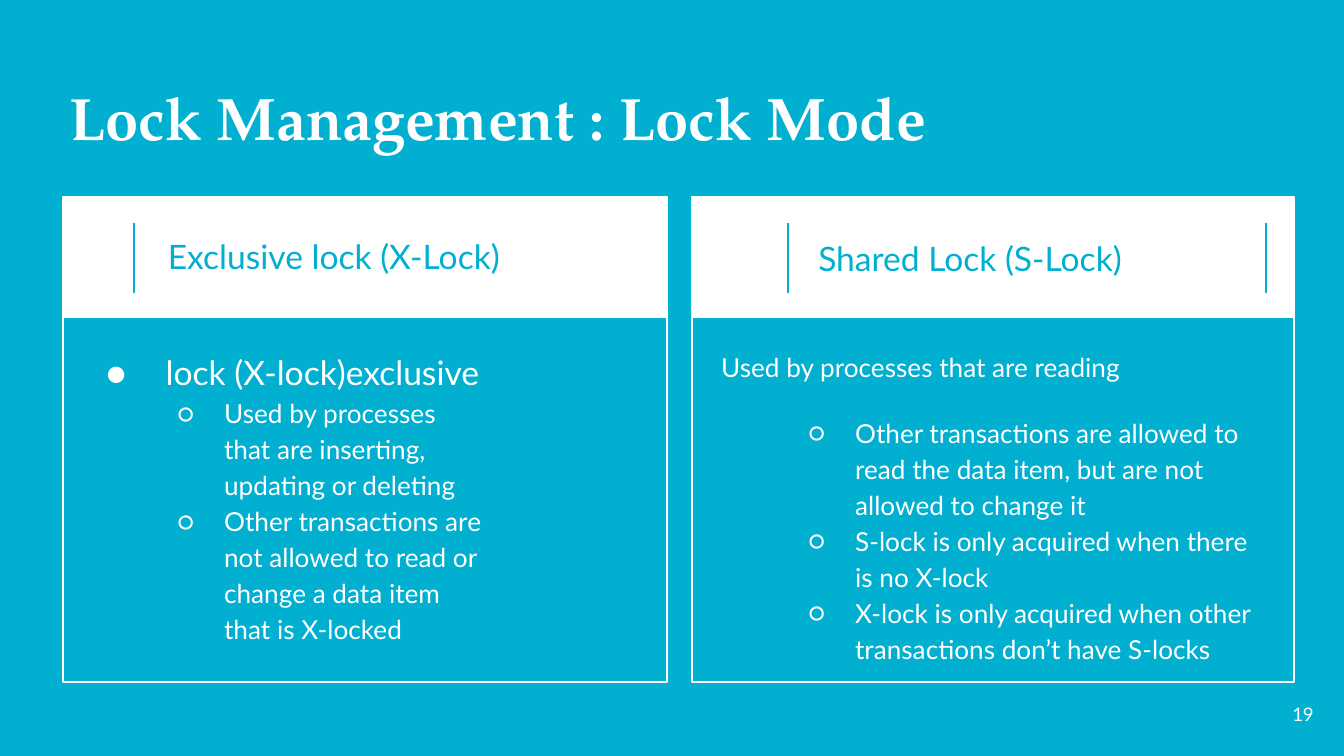
from lxml.etree import SubElement
from pptx import Presentation
from pptx.dml.color import RGBColor
from pptx.enum.shapes import MSO_CONNECTOR, MSO_SHAPE
from pptx.enum.text import MSO_ANCHOR, PP_ALIGN
from pptx.oxml.ns import qn
from pptx.util import Pt

COLORS = {"cyan": "01AFD1", "white": "FFFFFF"}

# Content: boxes are (left, top, width, height) in px
TITLE = ("Lock Management : Lock Mode", (56, 67, 1230, 101))
PAGE_NUMBER = ("19", (1246, 685, 81, 58))
PANEL_TOP, PANEL_HEIGHT, HEADER_HEIGHT = 197, 485, 121
DIVIDER_TOP, DIVIDER_BOTTOM = 223, 293
BODY_TOP, BODY_HEIGHT = 333, 349

# Points are (text, level, size, space before); level None has no bullet
PANELS = [
    {
        "left": 63, "width": 604, "dividers": [134],
        "heading": " Exclusive lock (X-Lock)", "heading_box": (146, 196, 457, 121),
        "body_left": 77, "body_width": 418,
        "points": [
            (" lock (X-lock)exclusive", 0, 18, 0),
            ("Used by processes that are inserting, updating or deleting", 1, 14, 0),
            ("Other transactions are not allowed to read or change a data item "
             "that is X-locked", 1, 14, 0),
        ],
    },
    {
        "left": 692, "width": 602, "dividers": [788, 1266],
        "heading": "Shared Lock (S-Lock)", "heading_box": (805, 198, 473, 121),
        "body_left": 708, "body_width": 570,
        "points": [
            ("Used by processes that are reading", None, 14, 0),
            ("Other transactions are allowed to read the data item, but are not "
             "allowed to change it", 1, 14, 16),
            ("S-lock is only acquired when there is no X-lock", 1, 14, 0),
            ("X-lock is only acquired when other transactions don’t have S-locks",
             1, 14, 0),
        ],
    },
]
# Bullet character, left margin and hanging indent in px by level
BULLETS = {0: ("●", 67, -51), 1: ("○", 134, -47)}


def px(length):
    return round(length * 914400 / 134.4)


def color(name):
    return RGBColor.from_string(COLORS[name])


def add_panel_box(box, fill=None, line=None):
    panel_box = slide.shapes.add_shape(MSO_SHAPE.RECTANGLE, *map(px, box))
    panel_box.shadow.inherit = False
    if fill:
        panel_box.fill.solid()
        panel_box.fill.fore_color.rgb = color(fill)
    else:
        panel_box.fill.background()
    if line:
        panel_box.line.color.rgb = color(line)
        panel_box.line.width = Pt(0.75)
    else:
        panel_box.line.fill.background()


def add_divider(x):
    divider = slide.shapes.add_connector(
        MSO_CONNECTOR.STRAIGHT, px(x), px(DIVIDER_TOP), px(x), px(DIVIDER_BOTTOM))
    divider.line.color.rgb = color("cyan")
    divider.line.width = Pt(0.75)
    SubElement(divider._element.spPr, qn("a:effectLst"))


def add_frame(box, anchor=MSO_ANCHOR.TOP):
    frame = slide.shapes.add_textbox(*map(px, box)).text_frame
    settings = {"word_wrap": True, "vertical_anchor": anchor}
    for side in ("left", "top", "right", "bottom"):
        settings["margin_" + side] = Pt(7.2)
    for name, value in settings.items():
        setattr(frame, name, value)
    return frame


def write(paragraph, text, size, ink="white", font="Lato", bold=False):
    run = paragraph.add_run()
    run.text = text
    for name, value in {"size": Pt(size), "name": font, "bold": bold}.items():
        setattr(run.font, name, value)
    run.font.color.rgb = color(ink)


def add_bullet(paragraph, level):
    character, margin, indent = BULLETS[level]
    paragraph.level = level
    properties = paragraph._p.get_or_add_pPr()
    properties.set("marL", str(px(margin)))
    properties.set("indent", str(px(indent)))
    bullet_color = SubElement(properties, qn("a:buClr"))
    SubElement(bullet_color, qn("a:srgbClr"), val=COLORS["white"])
    SubElement(properties, qn("a:buFont"), typeface="Lato")
    SubElement(properties, qn("a:buChar"), char=character)


presentation = Presentation()
presentation.slide_width, presentation.slide_height = px(1344), px(756)
slide = presentation.slides.add_slide(presentation.slide_layouts[6])
slide.background.fill.solid()
slide.background.fill.fore_color.rgb = color("cyan")

# Title
title, title_box = TITLE
write(add_frame(title_box).paragraphs[0], title, 32, font="TeX Gyre Pagella", bold=True)

# Lock mode panels
for panel in PANELS:
    left, width = panel["left"], panel["width"]
    add_panel_box((left, PANEL_TOP, width, PANEL_HEIGHT), line="white")
    add_panel_box((left, PANEL_TOP, width, HEADER_HEIGHT), fill="white")
    for x in panel["dividers"]:
        add_divider(x)
    heading = add_frame(panel["heading_box"], MSO_ANCHOR.MIDDLE)
    write(heading.paragraphs[0], panel["heading"], 18, ink="cyan")

    body = add_frame((panel["body_left"], BODY_TOP, panel["body_width"], BODY_HEIGHT))
    for index, (text, level, size, space) in enumerate(panel["points"]):
        point = body.add_paragraph() if index else body.paragraphs[0]
        point.line_spacing = 1.15
        point.space_before = Pt(space)
        if level is not None:
            add_bullet(point, level)
        write(point, text, size)

# Page number
number, number_box = PAGE_NUMBER
page = add_frame(number_box, MSO_ANCHOR.MIDDLE).paragraphs[0]
page.alignment = PP_ALIGN.RIGHT
write(page, number, 10)

presentation.save("out.pptx")
